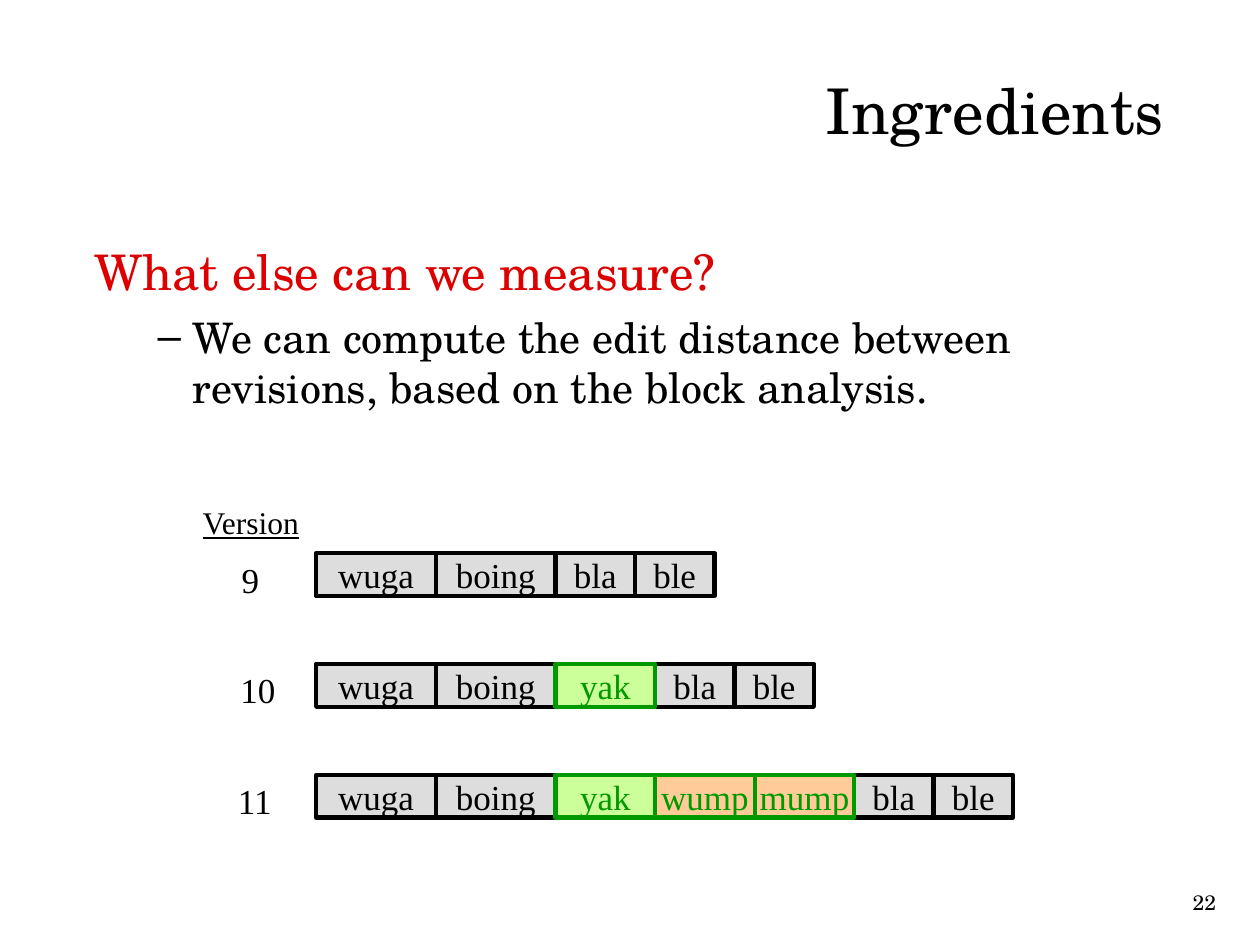
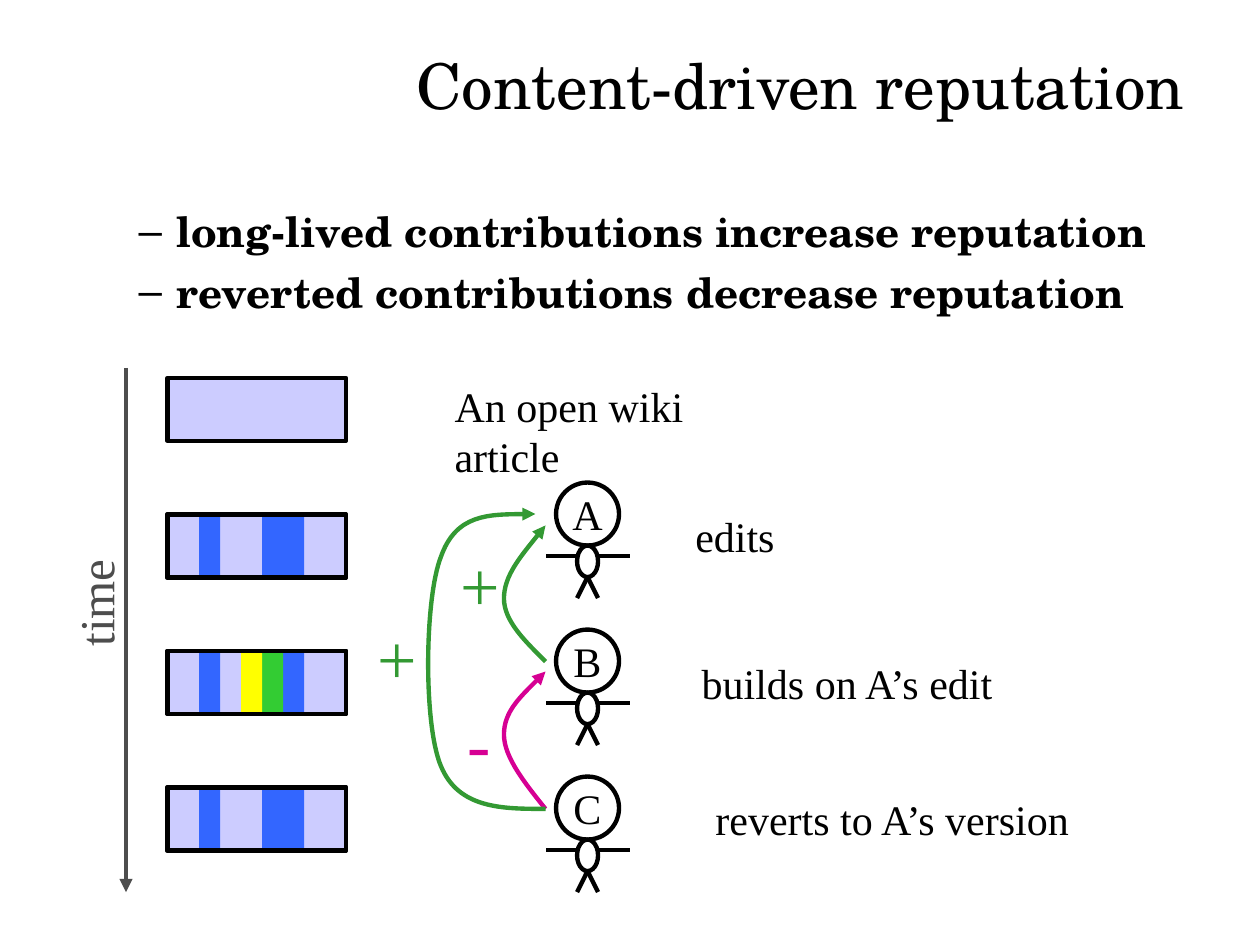
from lxml import etree
from pptx import Presentation
from pptx.dml.color import RGBColor
from pptx.enum.shapes import MSO_CONNECTOR, MSO_SHAPE
from pptx.enum.text import MSO_ANCHOR, MSO_AUTO_SIZE, PP_ALIGN
from pptx.oxml.ns import qn
from pptx.util import Inches, Pt

RECT, OVAL = MSO_SHAPE.RECTANGLE, MSO_SHAPE.OVAL
STRAIGHT = MSO_CONNECTOR.STRAIGHT
LEFT, CENTER, RIGHT = PP_ALIGN.LEFT, PP_ALIGN.CENTER, PP_ALIGN.RIGHT
TOP, MIDDLE = MSO_ANCHOR.TOP, MSO_ANCHOR.MIDDLE
FIXED, GROW = MSO_AUTO_SIZE.NONE, MSO_AUTO_SIZE.SHAPE_TO_FIT_TEXT

SCHOLA, TIMES = "TeX Gyre Schola", "Times New Roman"
BLACK = RGBColor(0x00, 0x00, 0x00)
RED = RGBColor(0xDC, 0x00, 0x00)
GRAY = RGBColor(0xDD, 0xDD, 0xDD)
DARK_GRAY = RGBColor(0x4D, 0x4D, 0x4D)
EDIT_GREEN = RGBColor(0x00, 0x99, 0x00)
LIME = RGBColor(0xCC, 0xFF, 0x99)
PEACH = RGBColor(0xFF, 0xCC, 0x99)
LAVENDER = RGBColor(0xCC, 0xCC, 0xFF)
BLUE = RGBColor(0x33, 0x66, 0xFF)
YELLOW = RGBColor(0xFF, 0xFF, 0x00)
GREEN = RGBColor(0x33, 0xCC, 0x33)
PRAISE = RGBColor(0x33, 0x99, 0x33)
BLAME = RGBColor(0xD6, 0x00, 0x93)

LINE_WIDTH = Pt(2.5)
UNIT = 1 / 12


def place(sp, x, y, w, h):
    """Move a shape to a box given in inches."""
    sp.left, sp.top, sp.width, sp.height = (Inches(v) for v in (x, y, w, h))


def style_text(p, size, color=BLACK, font=TIMES, bold=False):
    """Format every run of a paragraph."""
    for r in p.runs:
        r.font.size, r.font.name, r.font.bold = Pt(size), font, bold
        r.font.color.rgb = color


def set_margins(tf, margin):
    """Give a text frame the same margin on all sides."""
    tf.margin_left = tf.margin_right = Inches(margin)
    tf.margin_top = tf.margin_bottom = Inches(margin)


def add_label(s, text, box, size, color=BLACK, font=TIMES, align=LEFT, wrap=False):
    """Add a text box with one line of text."""
    sp = s.shapes.add_textbox(*(Inches(v) for v in box))
    tf = sp.text_frame
    tf.text = text
    tf.word_wrap = wrap
    tf.auto_size = FIXED if wrap else GROW
    p = tf.paragraphs[0]
    p.alignment = align
    style_text(p, size, color, font)
    return sp


def add_box(shapes, kind, box, fill=None, line=None, text="", size=20, color=BLACK):
    """Add a preset shape with optional fill, outline and centred text."""
    sp = shapes.add_shape(kind, *(Inches(v) for v in box))
    sp.shadow.inherit = False
    if fill is None:
        sp.fill.background()
    else:
        sp.fill.solid()
        sp.fill.fore_color.rgb = fill
    if line is None:
        sp.line.fill.background()
    else:
        sp.line.color.rgb = line
        sp.line.width = LINE_WIDTH
    if text:
        tf = sp.text_frame
        tf.text = text
        tf.word_wrap = False
        tf.vertical_anchor = MIDDLE
        tf.paragraphs[0].alignment = CENTER
        style_text(tf.paragraphs[0], size, color)
    return sp


def add_arrowhead(sp):
    """Put a triangle at the end of a line."""
    ln = sp.element.spPr.find(qn("a:ln"))
    etree.SubElement(ln, qn("a:tailEnd"), type="triangle")


def add_line(shapes, x1, y1, x2, y2, color=BLACK):
    """Add a straight line without a shadow."""
    cn = shapes.add_connector(STRAIGHT, *(Inches(v) for v in (x1, y1, x2, y2)))
    cn.line.color.rgb = color
    cn.line.width = LINE_WIDTH
    etree.SubElement(cn.element.spPr, qn("a:effectLst"))
    return cn


def add_curve(s, points, color):
    """Draw a curved arrow through a start point and triples of Bézier points."""
    start, *rest = [(Inches(x), Inches(y)) for x, y in points]
    builder = s.shapes.build_freeform(*start)
    builder.add_line_segments(rest, close=False)
    sp = builder.convert_to_shape()
    segments = list(sp.element.iter(qn("a:lnTo")))
    for i in range(0, len(segments), 3):
        curve = etree.Element(qn("a:cubicBezTo"))
        segments[i].addprevious(curve)
        for segment in segments[i:i + 3]:
            curve.append(segment[0])
            segment.getparent().remove(segment)
    sp.shadow.inherit = False
    sp.fill.background()
    sp.line.color.rgb = color
    sp.line.width = LINE_WIDTH
    add_arrowhead(sp)


def add_title(s, text, box, margin=None):
    """Fill the title placeholder, right-aligned in the given box."""
    sp = s.shapes.title
    place(sp, *box)
    tf = sp.text_frame
    tf.text = text
    tf.word_wrap = True
    tf.auto_size = FIXED
    tf.vertical_anchor = MIDDLE
    if margin is not None:
        set_margins(tf, margin)
    tf.paragraphs[0].alignment = RIGHT
    style_text(tf.paragraphs[0], 36, font=SCHOLA)


def format_item(p, indent, hanging, before, bullet=None):
    """Set level, indents, bullet and spacing of a list paragraph."""
    p.level = 1 if bullet else 0
    pPr = p._p.get_or_add_pPr()
    pPr.set("marL", str(Inches(indent)))
    pPr.set("indent", str(-Inches(hanging)))
    if bullet:
        etree.SubElement(pPr, qn("a:buChar"), char=bullet)
    else:
        etree.SubElement(pPr, qn("a:buNone"))
    p.space_before = Pt(before)


def add_body(s, texts, box):
    """Put the paragraphs into the body placeholder and return its text frame."""
    sp = s.placeholders[1]
    place(sp, *box)
    tf = sp.text_frame
    tf.text = "\n".join(texts)
    tf.word_wrap = True
    tf.auto_size = FIXED
    tf.vertical_anchor = TOP
    return tf


def add_version(s, x, y, number, label_box, words):
    """Draw one revision as a row of word blocks with its number."""
    widths = {"wuga": 0.95, "boing": 0.95, "bla": 0.63, "ble": 0.63}
    edits = {"yak": LIME, "wump": PEACH, "mump": PEACH}
    dx, w = label_box
    add_label(s, number, (x + dx, y - 0.01, w, 0.44), 20)
    blocks = []
    for word in words.split():
        width = widths.get(word, 0.79)
        blocks.append((word, (x, y, width, 0.34)))
        x += width
    for word, box in sorted(blocks, key=lambda block: block[0] in edits):
        color = EDIT_GREEN if word in edits else BLACK
        add_box(s.shapes, RECT, box, edits.get(word, GRAY), color, word, 20, color)


def add_article(s, x, y, stripes):
    """Draw one state of the article as a bar with coloured stripes."""
    box = (x, y, 17 * UNIT, 0.5)
    if not stripes:
        add_box(s.shapes, RECT, box, LAVENDER, BLACK)
        return
    shapes = s.shapes.add_group_shape().shapes
    add_box(shapes, RECT, box, LAVENDER, BLACK)
    for start, width, color in stripes:
        add_box(shapes, RECT, (x + start * UNIT, y, width * UNIT, 0.5), color)
    add_box(shapes, RECT, box, line=BLACK)


def add_person(s, x, y, name):
    """Draw a stick figure with a letter in its head."""
    shapes = s.shapes.add_group_shape().shapes
    add_box(shapes, OVAL, (x + UNIT, y, 0.5, 0.5), line=BLACK, text=name, size=24)
    add_box(shapes, OVAL, (x + 3 * UNIT, y + 0.5, 2 * UNIT, 0.25), line=BLACK)
    limbs = [(3, 7, 0, 7), (8, 7, 5, 7), (4, 9, 3, 11), (4, 9, 5, 11)]
    for x1, y1, x2, y2 in limbs:
        add_line(shapes, x + x1 * UNIT, y + y1 * UNIT, x + x2 * UNIT, y + y2 * UNIT)


def build_ingredients(prs):
    """Build the slide on the edit distance between revisions."""
    s = prs.slides.add_slide(prs.slide_layouts[1])
    add_title(s, "Ingredients", (0.75, 0.3, 8.49, 1.14), margin=0)
    tf = add_body(s, [
        "What else can we measure?",
        "We can compute the edit distance between revisions, based on the block analysis.",
    ], (0.75, 1.92, 8.49, 4.98))
    set_margins(tf, 0)
    question, answer = tf.paragraphs
    format_item(question, 0.34, 0.34, 0)
    style_text(question, 28, RED, SCHOLA)
    format_item(answer, 0.78, 0.28, 6, "–")
    style_text(answer, 24, font=SCHOLA)

    heading = add_label(s, "Version", (1.51, 3.94, 0.99, 0.4), 18)
    heading.text_frame.paragraphs[0].runs[0].font.underline = True
    versions = [
        ("9", (-0.69, 0.34), "wuga boing bla ble"),
        ("10", (-0.7, 0.48), "wuga boing yak bla ble"),
        ("11", (-0.72, 0.48), "wuga boing yak wump mump bla ble"),
    ]
    for i, version in enumerate(versions):
        add_version(s, 2.51, 4.39 + 0.88 * i, *version)
    add_label(s, "22", (9.26, 7.01, 0.49, 0.3), 12, font=SCHOLA, align=RIGHT, wrap=True)


def build_reputation(prs):
    """Build the slide on reputation earned through edits."""
    s = prs.slides.add_slide(prs.slide_layouts[1])
    add_title(s, "Content-driven reputation", (0.5, 0.17, 9, 1))
    tf = add_body(s, [
        "long-lived contributions increase reputation",
        "reverted contributions decrease reputation",
    ], (0.5, 1.58, 9, 1.33))
    for i, p in enumerate(tf.paragraphs):
        format_item(p, 0.8, 0.3, 6 if i else 0, "–")
        style_text(p, 24, font=SCHOLA, bold=True)

    add_arrowhead(add_line(s.shapes, 1, 2.92, 1, 7.08, DARK_GRAY))
    time = add_label(s, "time", (0.31, 4.5, 0.89, 0.57), 28, DARK_GRAY, align=CENTER)
    time.rotation = 270

    first_edit = [(9, 4, BLUE), (3, 2, BLUE)]
    second_edit = first_edit + [(9, 2, GREEN), (7, 2, YELLOW)]
    for i, stripes in enumerate([[], first_edit, second_edit, first_edit]):
        add_article(s, 1.33, 3 + 13 * UNIT * i, stripes)
    for i, name in enumerate("ABC"):
        add_person(s, 4.33, 3.83 + 14 * UNIT * i, name)

    add_curve(s, [(4.33, 5.25), (4.17, 5.09), (4, 4.93), (4, 4.75),
                  (4, 4.57), (4.17, 4.37), (4.33, 4.17)], PRAISE)
    add_curve(s, [(4.33, 6.42), (4.17, 6.22), (4, 6.01), (4, 5.83),
                  (4, 5.65), (4.17, 5.49), (4.33, 5.33)], BLAME)
    add_curve(s, [(4.33, 6.42), (3.99, 6.42), (3.64, 6.42), (3.5, 6.08),
                  (3.36, 5.75), (3.37, 4.75), (3.5, 4.42),
                  (3.62, 4.08), (3.94, 4.08), (4.25, 4.08)], PRAISE)
    signs = [("+", 3.56, 4.25, 0.51, PRAISE), ("-", 3.61, 5.5, 0.38, BLAME),
             ("+", 2.9, 4.83, 0.51, PRAISE)]
    for sign, x, y, w, color in signs:
        add_label(s, sign, (x, y, w, 0.77), 40, color)
    captions = [("An open wiki article", 3.51, 2.97, 2.83), ("edits", 5.42, 4, 0.83),
                ("builds on A’s edit", 5.47, 5.17, 2.58),
                ("reverts to A’s version", 5.58, 6.25, 3.08)]
    for caption, x, y, w in captions:
        add_label(s, caption, (x, y, w, 0.5), 24)


def main():
    """Build and save the presentation."""
    prs = Presentation()
    prs.slide_width, prs.slide_height = Inches(10), Inches(7.5)
    build_ingredients(prs)
    build_reputation(prs)
    prs.save("out.pptx")


if __name__ == "__main__":
    main()
